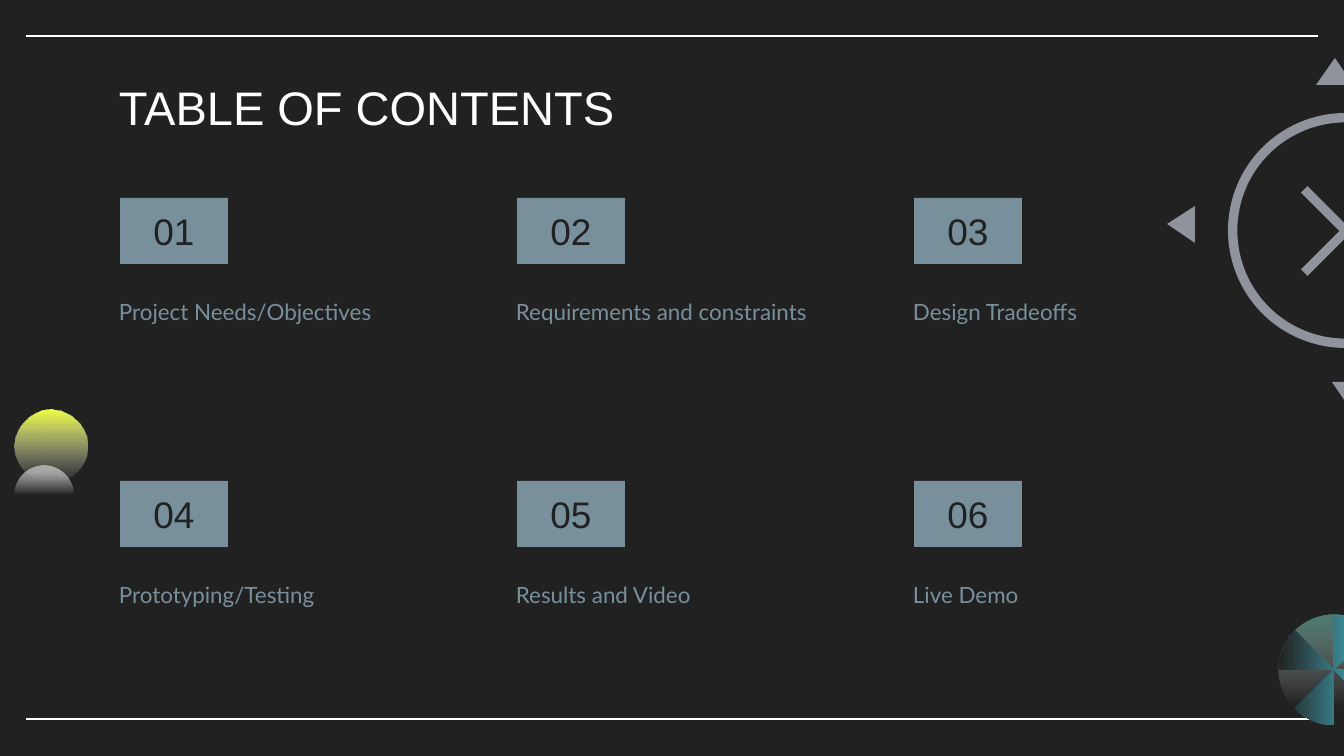
"""Build a dark table-of-contents slide with six numbered topics and geometric ornaments."""
from dataclasses import dataclass
from math import cos, radians, sin

from lxml.etree import SubElement
from pptx import Presentation
from pptx.dml.color import RGBColor
from pptx.enum.shapes import MSO_CONNECTOR, MSO_SHAPE
from pptx.enum.text import MSO_ANCHOR, PP_ALIGN
from pptx.oxml.ns import qn
from pptx.util import Pt


@dataclass(frozen=True)
class Theme:
    background: str = "212121"
    light: str = "FFFFFF"
    accent: str = "78909C"
    ornament: str = "D6DEEB"
    ornament_alpha: int = 61
    heading_font: str = "Arial"
    body_font: str = "Lato"
    title_size: float = 25.2
    number_size: float = 19.8
    label_size: float = 12
    rule_width: float = 0.75


THEME = Theme()
SCALE = 914400 / 134.4
WIDTH, HEIGHT = 1344, 756

TITLE = "TABLE OF CONTENTS"
TOPICS = [
    ["Project Needs/Objectives", "Requirements and constraints", "Design Tradeoffs"],
    ["Prototyping/Testing", "Results and Video", "Live Demo"],
]
RULES = [36, 719]
GRID_LEFT, GRID_TOP, COLUMN_STEP, ROW_STEP = 120, 198, 397, 283
BOX_WIDTH, BOX_HEIGHT = 108, 66
INSET = 13

DISCS = [
    (15, 410, 72, [(0, "EEFF41", 100), (100, "FFFFFF", 0)]),
    (15, 466, 58, [(0, "ADADAD", 100), (50, "FFFFFF", 0), (100, "FFFFFF", 0)]),
]
DIAL = [
    (MSO_SHAPE.MATH_PLUS, 1266, 151, 160, 0.058),
    (MSO_SHAPE.DONUT, 1228, 113, 235, 0.04),
]
POINTERS = [
    [(1167, 224), (1195, 243), (1195, 206)],
    [(1335, 58), (1316, 85), (1353, 85)],
    [(1332, 382), (1351, 410), (1370, 382)],
]
WHEEL_X, WHEEL_Y, WHEEL_RADIUS = 1334, 670, 55
WHEEL_FADE = [(0, "68BAAC", 59), (83, "FFFFFF", 0), (100, "FFFFFF", 0)]
SECTOR_FADE = [(0, "4DD0E1", 100), (100, "212121", 100), (100, "EEFF41", 100)]
DOWN, LEFTWARD = 90, 180


def px(value):
    return round(value * SCALE)


def color(value):
    return RGBColor.from_string(value)


def fill_solid(shape, value, alpha=100):
    shape.shadow.inherit = False
    shape.line.fill.background()
    shape.fill.solid()
    shape.fill.fore_color.rgb = color(value)
    if alpha < 100:
        swatch = shape.fill._xPr.find(qn("a:solidFill"))[0]
        SubElement(swatch, qn("a:alpha"), val=str(alpha * 1000))


def fill_gradient(shape, stops, angle):
    shape.shadow.inherit = False
    shape.line.fill.background()
    shape.fill.gradient()
    gradient = shape.fill._xPr.find(qn("a:gradFill"))
    for child in list(gradient):
        gradient.remove(child)
    stop_list = SubElement(gradient, qn("a:gsLst"))
    for position, value, alpha in stops:
        stop = SubElement(stop_list, qn("a:gs"), pos=str(position * 1000))
        swatch = SubElement(stop, qn("a:srgbClr"), val=value)
        if alpha < 100:
            SubElement(swatch, qn("a:alpha"), val=str(alpha * 1000))
    SubElement(gradient, qn("a:lin"), ang=str(angle * 60000), scaled="0")


def add_preset(page, kind, left, top, width, height):
    return page.shapes.add_shape(kind, px(left), px(top), px(width), px(height))


def add_outline(page, contours):
    first, *others = [[(px(x), px(y)) for x, y in contour] for contour in contours]
    builder = page.shapes.build_freeform(*first[0])
    builder.add_line_segments(first[1:], close=True)
    for contour in others:
        builder.move_to(*contour[0])
        builder.add_line_segments(contour[1:], close=True)
    return builder.convert_to_shape()


def set_text(shape, text, font, size, value, anchor, align=PP_ALIGN.LEFT):
    frame = shape.text_frame
    frame.text = text
    frame.word_wrap = True
    frame.vertical_anchor = anchor
    frame.margin_left = frame.margin_right = px(INSET)
    frame.margin_top = frame.margin_bottom = px(INSET)
    para = frame.paragraphs[0]
    para.alignment = align
    span = para.runs[0]
    span.font.name = font
    span.font.size = Pt(size)
    span.font.color.rgb = color(value)


def add_rules(page):
    for y in RULES:
        rule = page.shapes.add_connector(
            MSO_CONNECTOR.STRAIGHT, px(26), px(y), px(WIDTH - 26), px(y))
        rule.line.color.rgb = color(THEME.light)
        rule.line.width = Pt(THEME.rule_width)
        SubElement(rule._element.spPr, qn("a:effectLst"))


def sector(start):
    arc = [radians(start + step) for step in range(0, 46, 5)]
    rim = [(WHEEL_X + WHEEL_RADIUS * cos(a), WHEEL_Y + WHEEL_RADIUS * sin(a)) for a in arc]
    return [(WHEEL_X, WHEEL_Y), *rim]


def add_ornaments(page):
    for left, top, size, stops in DISCS:
        disc = add_preset(page, MSO_SHAPE.OVAL, left, top, size, size)
        fill_gradient(disc, stops, DOWN)
    for kind, left, top, size, thickness in DIAL:
        part = add_preset(page, kind, left, top, size, size)
        part.adjustments[0] = thickness
        part.rotation = 315
        fill_solid(part, THEME.ornament, THEME.ornament_alpha)
    for points in POINTERS:
        fill_solid(add_outline(page, [points]), THEME.ornament, THEME.ornament_alpha)
    wheel = add_preset(page, MSO_SHAPE.OVAL, WHEEL_X - WHEEL_RADIUS,
                       WHEEL_Y - WHEEL_RADIUS, 2 * WHEEL_RADIUS, 2 * WHEEL_RADIUS)
    fill_gradient(wheel, WHEEL_FADE, DOWN)
    sectors = add_outline(page, [sector(start) for start in range(0, 360, 90)])
    fill_gradient(sectors, SECTOR_FADE, LEFTWARD)


def add_topics(page):
    for row, labels in enumerate(TOPICS):
        for column, label in enumerate(labels):
            left = GRID_LEFT + column * COLUMN_STEP
            top = GRID_TOP + row * ROW_STEP
            number = f"{row * len(labels) + column + 1:02d}"
            box = add_preset(page, MSO_SHAPE.RECTANGLE, left, top, BOX_WIDTH, BOX_HEIGHT)
            fill_solid(box, THEME.accent)
            set_text(box, number, THEME.heading_font, THEME.number_size,
                     THEME.background, MSO_ANCHOR.MIDDLE, PP_ALIGN.CENTER)
            caption = page.shapes.add_textbox(px(left - 14), px(top + 82), px(360), px(58))
            set_text(caption, label, THEME.body_font, THEME.label_size,
                     THEME.accent, MSO_ANCHOR.BOTTOM)


def main():
    deck = Presentation()
    deck.slide_width, deck.slide_height = px(WIDTH), px(HEIGHT)
    page = deck.slides.add_slide(deck.slide_layouts[6])
    page.background.fill.solid()
    page.background.fill.fore_color.rgb = color(THEME.background)
    add_rules(page)
    add_ornaments(page)
    title = page.shapes.add_textbox(px(106), px(66), px(1133), px(85))
    set_text(title, TITLE, THEME.heading_font, THEME.title_size, THEME.light, MSO_ANCHOR.TOP)
    add_topics(page)
    deck.save("out.pptx")


if __name__ == "__main__":
    main()
